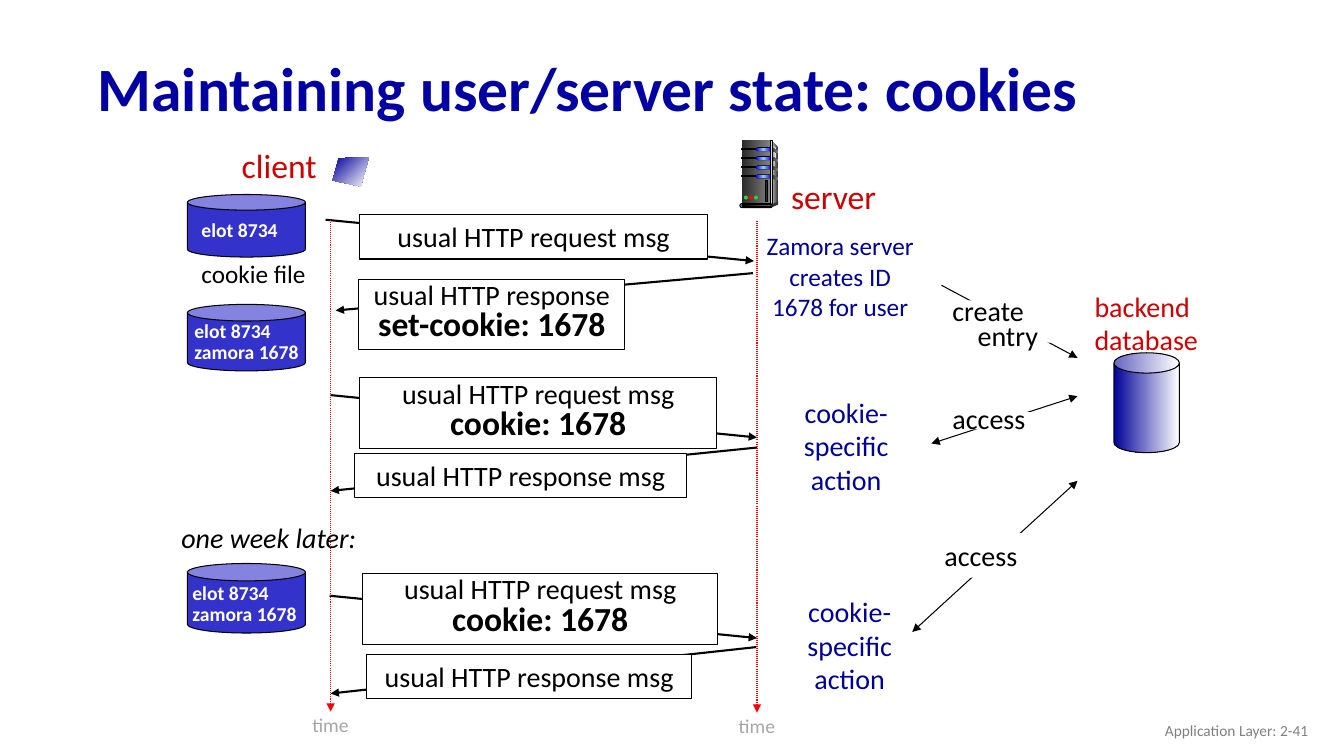
from copy import deepcopy
from dataclasses import dataclass, replace
from typing import Optional, Sequence

from lxml.etree import SubElement
from pptx import Presentation
from pptx.dml.color import RGBColor
from pptx.enum.dml import MSO_LINE
from pptx.enum.shapes import MSO_CONNECTOR, MSO_SHAPE
from pptx.enum.text import MSO_ANCHOR, MSO_AUTO_SIZE, PP_ALIGN
from pptx.oxml.ns import qn
from pptx.util import Emu, Inches, Pt

CELL = Inches(0.1)
COLUMNS, ROWS = 133.33, 75
Point = tuple[float, float]


@dataclass(frozen=True)
class Theme:
    font: str = "Calibri"
    title: str = "0000A3"
    navy: str = "000099"
    red: str = "CC0000"
    can: str = "3333CC"
    black: str = "000000"
    white: str = "FFFFFF"
    footer: str = "808080"
    pale: str = "A6A6A6"
    axis: str = "FF0000"
    thin: float = 0.75
    thick: float = 1.5
    steel: tuple[str, ...] = ("292929", "808080")
    light: tuple[str, ...] = ("0000FF", "99CCFF", "0000FF")
    edge: tuple[str, ...] = ("333333", "DDDDDD", "333333")
    fade: tuple[str, ...] = ("000099", "FFFFFF")


THEME = Theme()


@dataclass(frozen=True)
class Area:
    left: float
    top: float
    width: float
    height: float

    def emu(self) -> list[Emu]:
        return [cells(n) for n in (self.left, self.top, self.width, self.height)]


@dataclass(frozen=True)
class Style:
    size: float = 20
    colour: str = THEME.black
    bold: bool = False
    italic: bool = False
    align: PP_ALIGN = PP_ALIGN.LEFT
    spacing: float = 1.0
    indent: float = 0


@dataclass(frozen=True)
class Line:
    text: str
    style: Style


@dataclass(frozen=True)
class Label:
    area: Area
    lines: Sequence[Line]
    wrap: bool = False
    anchor: MSO_ANCHOR = MSO_ANCHOR.TOP


@dataclass(frozen=True)
class Message:
    start: Point
    end: Point
    label: Label


@dataclass(frozen=True)
class Access:
    start: Point
    end: Point
    mask: Area
    label: Label
    two_way: bool = True


def cells(count: float) -> Emu:
    return Emu(round(count * CELL))


def lines_of(style: Style, *texts: str) -> list[Line]:
    return [Line(text, style) for text in texts]


def paint(shape, fill: Sequence[str], outline: Optional[str] = None, angle: float = 0) -> None:
    shape.shadow.inherit = False
    if len(fill) == 1:
        shape.fill.solid()
        shape.fill.fore_color.rgb = RGBColor.from_string(fill[0])
    else:
        shape.fill.gradient()
        shape.fill.gradient_angle = angle
        stops = shape._element.spPr.find(f".//{qn('a:gsLst')}")
        while len(stops) < len(fill):
            stops.append(deepcopy(stops[0]))
        for index, (stop, colour) in enumerate(zip(shape.fill.gradient_stops, fill)):
            stop.position = index / (len(fill) - 1)
            stop.color.rgb = RGBColor.from_string(colour)
    if outline:
        shape.line.color.rgb = RGBColor.from_string(outline)
        shape.line.width = Pt(THEME.thin)
    else:
        shape.line.fill.background()


def add_block(page, kind, area: Area, fill: Sequence[str], outline=None, bend=None):
    shape = page.shapes.add_shape(kind, *area.emu())
    if bend is not None:
        shape.adjustments[0] = bend
    paint(shape, fill, outline)
    return shape


def add_outline(page, points: Sequence[Point], fill: Sequence[str], angle: float = 0) -> None:
    first, *others = [(cells(x), cells(y)) for x, y in points]
    builder = page.shapes.build_freeform(*first)
    builder.add_line_segments(others, close=True)
    paint(builder.convert_to_shape(), fill, angle=angle)


def write(box, label: Label, auto_size=MSO_AUTO_SIZE.SHAPE_TO_FIT_TEXT) -> None:
    frame = box.text_frame
    frame.word_wrap = label.wrap
    frame.auto_size = auto_size
    frame.vertical_anchor = label.anchor
    for index, line in enumerate(label.lines):
        para = frame.add_paragraph() if index else frame.paragraphs[0]
        style = line.style
        para.alignment = style.align
        para.line_spacing = style.spacing
        if style.indent:
            para._p.get_or_add_pPr().set("marL", str(cells(style.indent)))
        span = para.add_run()
        span.text = line.text
        span.font.name = THEME.font
        span.font.size = Pt(style.size)
        span.font.bold = style.bold
        span.font.italic = style.italic
        span.font.color.rgb = RGBColor.from_string(style.colour)


def add_label(page, label: Label) -> None:
    write(page.shapes.add_textbox(*label.area.emu()), label)


def add_arrow(page, start: Point, end: Point, colour: str = THEME.black,
              width: float = THEME.thin, two_way: bool = False, dotted: bool = False) -> None:
    arrow = page.shapes.add_connector(MSO_CONNECTOR.STRAIGHT, *[cells(n) for n in start + end])
    arrow.line.color.rgb = RGBColor.from_string(colour)
    arrow.line.width = Pt(width)
    if dotted:
        arrow.line.dash_style = MSO_LINE.ROUND_DOT
    properties = arrow._element.spPr
    for tag in ("a:headEnd", "a:tailEnd") if two_way else ("a:tailEnd",):
        SubElement(properties.find(qn("a:ln")), qn(tag)).set("type", "triangle")
    SubElement(properties, qn("a:effectLst"))


def add_message(page, message: Message) -> None:
    add_arrow(page, message.start, message.end, width=THEME.thick)
    box = add_block(page, MSO_SHAPE.RECTANGLE, message.label.area, [THEME.white], THEME.black)
    write(box, message.label)


def add_access(page, access: Access) -> None:
    add_arrow(page, access.start, access.end, two_way=access.two_way)
    add_block(page, MSO_SHAPE.RECTANGLE, access.mask, [THEME.white])
    add_label(page, access.label)


def add_server(page) -> None:
    black, grey, rect, pill = [THEME.black], ["333333"], MSO_SHAPE.RECTANGLE, MSO_SHAPE.ROUNDED_RECTANGLE
    add_outline(page, [(76.5, 13.9), (77.2, 14.7), (77.2, 20), (76.4, 20.3)], ("DDDDDD", "333333"))
    add_block(page, rect, Area(73.6, 13.9, 2.8, 6.4), THEME.steel)
    add_outline(page, [(76.6, 14.3), (77, 14.8), (76.7, 17.2), (76.6, 20.1)], ("808080", "F8F8F8"))
    for top in (14.6 + 0.9 * bay for bay in range(4)):
        add_block(page, rect, Area(73.6, top + 0.1, 1.6, 0.1), black, THEME.black)
        add_block(page, pill, Area(75, top, 1.6, 0.4), black, bend=0.5)
        add_block(page, pill, Area(75, top + 0.05, 1.5, 0.3), THEME.light, bend=0.5)
        add_outline(page, [(76.5, top), (77.2, top + 0.4), (77.2, top + 0.6), (76.5, top + 0.3)], THEME.steel)
    add_block(page, rect, Area(76.4, 13.9, 0.2, 6.4), THEME.edge, THEME.black)
    add_outline(page, [(76.5, 20.3), (76.5, 20.6), (77.2, 20.3), (77.2, 20)], grey)
    add_block(page, pill, Area(73.4, 20.2, 3.2, 0.4), ["DDDDDD"], THEME.black, 0.5)
    add_block(page, pill, Area(73.6, 20.3, 2.9, 0.2), ("000000", "808080"), THEME.black, 0.5)
    for index, colour in enumerate(("33CC33", "FF0000", "33CC33")):
        add_block(page, MSO_SHAPE.OVAL, Area(73.8 + 0.5 * index, 19.4, 0.4, 0.4), [colour])
    add_block(page, rect, Area(75.9, 17.9, 0.2, 2.1), ["292929"], THEME.black)


PLAIN = Style()
HEADING = Style(24, THEME.red, align=PP_ALIGN.CENTER)
ACTION = Style(20, THEME.navy, align=PP_ALIGN.CENTER)
STORED = Style(14, THEME.white, bold=True, spacing=0.9)
SINGLE = Style(align=PP_ALIGN.CENTER)
TIGHT = replace(SINGLE, spacing=0.8)
HEADER = replace(TIGHT, size=24, bold=True)
CREATE = Style(spacing=0.75)
TIME = Style(14, THEME.pale, spacing=0.85)

REQUEST, RESPONSE = "usual HTTP request msg", "usual HTTP response msg"
WITH_COOKIE = [Line(REQUEST, TIGHT), Line("cookie: 1678", HEADER)]
SET_COOKIE = [Line("usual HTTP response", TIGHT), Line("set-cookie: 1678", HEADER)]
SPECIFIC = lines_of(ACTION, "cookie-", "specific", "action")
BOTH_SITES = lines_of(STORED, "elot 8734", "zamora 1678")

MESSAGES = [
    Message((32.3, 21.8), (74.8, 25.9), Label(Area(35.7, 21.3, 34.5, 4.4), lines_of(SINGLE, REQUEST), True)),
    Message((74.7, 27.1), (33.3, 30.8), Label(Area(35.6, 27.7, 26.4, 7), SET_COOKIE, True)),
    Message((32.8, 39.2), (75.1, 43.4), Label(Area(35.7, 37.5, 35.4, 7), WITH_COOKIE, True)),
    Message((75.1, 44.4), (32.8, 48.7), Label(Area(35.2, 45, 32.9, 4.4), lines_of(SINGLE, RESPONSE), True)),
    Message((32.7, 59.1), (75.1, 63.3), Label(Area(36, 56.9, 35.2, 7), WITH_COOKIE, True)),
    Message((75, 64.2), (32.8, 68.8), Label(Area(36.4, 64.9, 32.2, 4.4), lines_of(SINGLE, RESPONSE), True)),
]
ACCESSES = [
    Access((93.4, 28.3), (106.9, 35.5), Area(95.3, 29.8, 12.3, 4.2), Label(
        Area(93.5, 29.4, 15, 6.2), [Line("create", CREATE), Line("entry", replace(CREATE, indent=2.5))], True), False),
    Access((92.4, 44), (106.9, 39.3), Area(95.7, 40.9, 8.1, 1.7),
           Label(Area(93.5, 39.3, 11.3, 4.4), lines_of(PLAIN, "access"))),
    Access((90.5, 62.7), (106.9, 47.7), Area(92.7, 52.9, 11.2, 4.4),
           Label(Area(92.7, 52.9, 11.2, 4.4), lines_of(PLAIN, "access"))),
]
COOKIE_FILES = [
    (Area(18.6, 19.3, 11.7, 6.2), Label(Area(19, 21.1, 11, 3.4), lines_of(replace(STORED, spacing=1), "elot 8734"))),
    (Area(18.6, 30.2, 11.7, 6.6), Label(Area(18.3, 31.4, 15.9, 5.3), BOTH_SITES, True)),
    (Area(18.6, 55.9, 11.7, 6.9), Label(Area(18.1, 57.4, 15.2, 5.2), BOTH_SITES, True)),
]
LABELS = [
    Label(Area(100.8, 70.5, 30, 4), lines_of(Style(11, THEME.footer, align=PP_ALIGN.RIGHT),
          "Application Layer: 2-41"), True, MSO_ANCHOR.MIDDLE),
    Label(Area(22.9, 13.9, 9.6, 5), lines_of(HEADING, "client")),
    Label(Area(77.4, 17, 10.6, 5), lines_of(HEADING, "server")),
    Label(Area(19, 25.1, 19.5, 4), lines_of(Style(18), "cookie file"), True),
    Label(Area(17, 51.1, 19.8, 4.4), lines_of(Style(italic=True), "one week later:")),
    Label(Area(74.7, 22.4, 17.3, 10.1),
          lines_of(replace(ACTION, size=18), "Zamora server", "creates ID", "1678 for user")),
    Label(Area(77.6, 38.7, 12.7, 11.1), SPECIFIC),
    Label(Area(78, 58.5, 12.6, 11.1), SPECIFIC),
    Label(Area(107.6, 28.2, 12.5, 7.7), lines_of(Style(20, THEME.red), "backend", "database")),
]


def main() -> None:
    deck = Presentation()
    deck.slide_width, deck.slide_height = cells(COLUMNS), cells(ROWS)
    page = deck.slides.add_slide(deck.slide_layouts[5])
    title = Label(Area(8.7, 4.2, 115, 9.8), lines_of(Style(44, THEME.title, bold=True, spacing=0.9),
                  "Maintaining user/server state: cookies"), True, MSO_ANCHOR.MIDDLE)
    heading = page.shapes.title
    heading.left, heading.top, heading.width, heading.height = title.area.emu()
    write(heading, title, MSO_AUTO_SIZE.NONE)
    for message in MESSAGES:
        add_message(page, message)
    for access in ACCESSES:
        add_access(page, access)
    for can, label in COOKIE_FILES:
        add_block(page, MSO_SHAPE.CAN, can, [THEME.can], THEME.black, 0.25)
        add_label(page, label)
    for label in LABELS:
        add_label(page, label)
    add_block(page, MSO_SHAPE.CAN, Area(110.5, 35, 6.5, 9.9), THEME.fade, THEME.black, 0.31)
    add_server(page)
    add_outline(page, [(36.6, 15.6), (33.6, 15.7), (33, 17.9), (35.8, 18.5)], THEME.fade, 315)
    for column, top in ((32.8, 21.8), (75.1, 21.9)):
        add_arrow(page, (column, top), (column, top + 48.8), THEME.axis, dotted=True)
        add_label(page, Label(Area(column - 2.8, top + 48.8, 5.7, 3), lines_of(TIME, "time")))
    deck.save("out.pptx")


if __name__ == "__main__":
    main()
